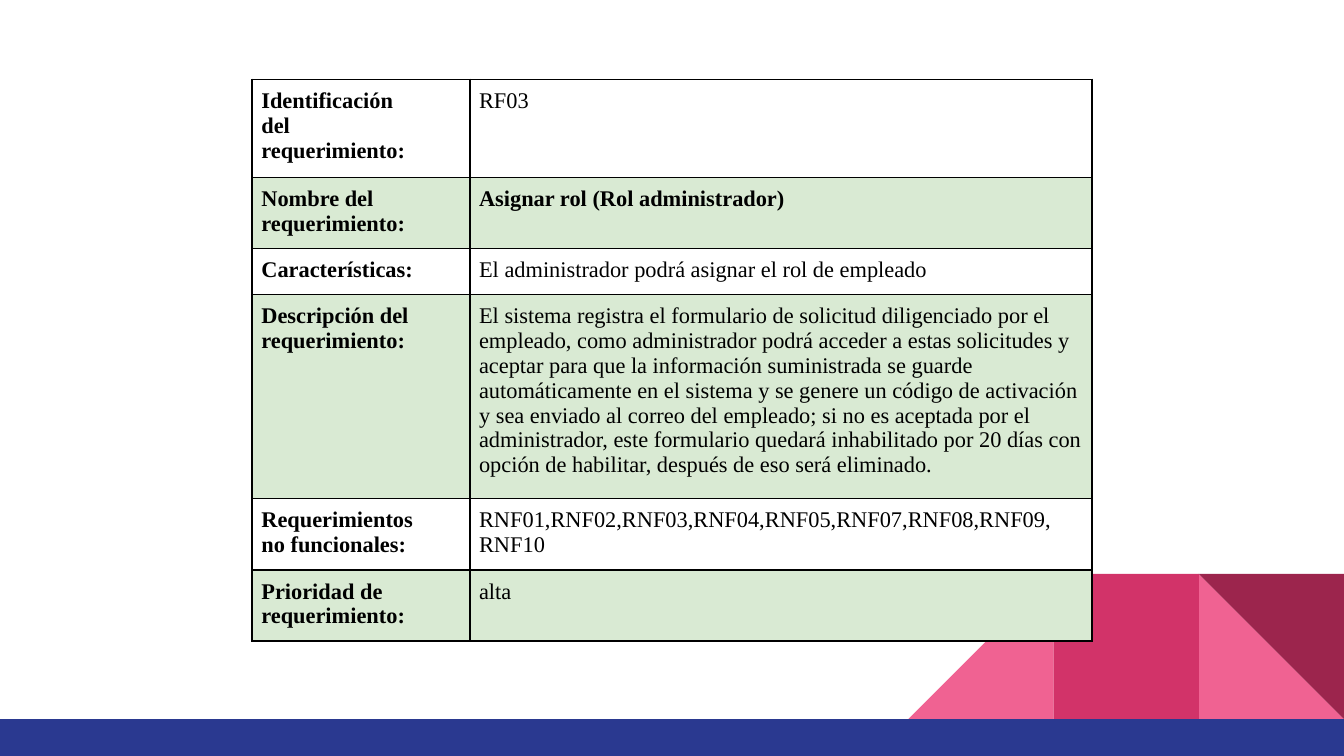
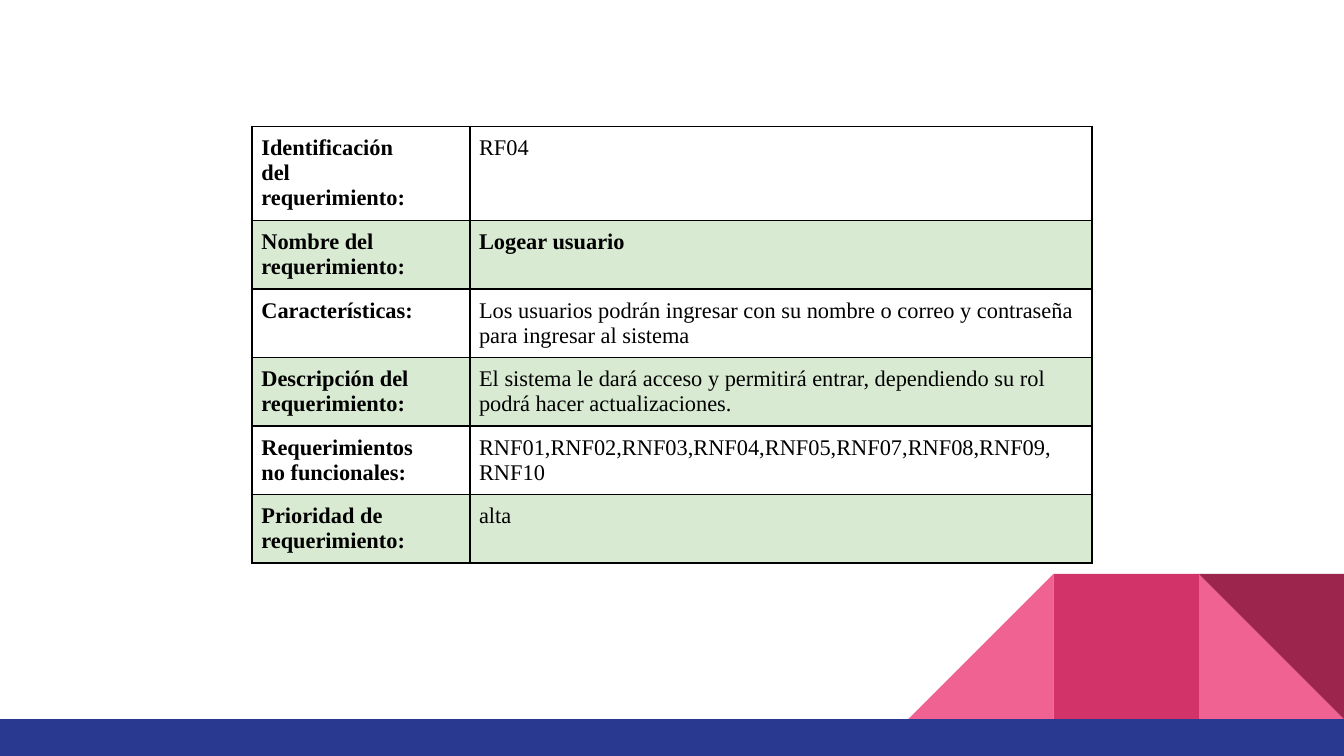
from lxml import etree
from pptx import Presentation
from pptx import util as u
from pptx.dml.color import RGBColor
from pptx.enum import shapes
from pptx.oxml import ns

BLACK = RGBColor(0x00, 0x00, 0x00)
GREEN = RGBColor(0xD9, 0xEA, 0xD3)
PINK = RGBColor(0xF0, 0x62, 0x92)
ROSE = RGBColor(0xD2, 0x33, 0x69)
WINE = RGBColor(0x9C, 0x25, 0x4D)
NAVY = RGBColor(0x2A, 0x39, 0x90)

FONT = "Times New Roman"
WIDTH = 10
HEIGHT = WIDTH * 9 / 16
TILE, BAND = 1.08, 5.35
COLS, INSET = (1.62, 4.63), 0.07
LEFT = (WIDTH - sum(COLS)) / 2

LABELS = (
    "Identificación\ndel\nrequerimiento:",
    "Nombre del\nrequerimiento:",
    "Características:",
    "Descripción del\nrequerimiento:",
    "Requerimientos\nno funcionales:",
    "Prioridad de\nrequerimiento:",
)
NEEDS = "RNF01,RNF02,RNF03,RNF04,RNF05,RNF07,RNF08,RNF09,\nRNF10"

ROLE = (
    "RF03",
    "Asignar rol (Rol administrador)",
    "El administrador podrá asignar el rol de empleado",
    "El sistema registra el formulario de solicitud diligenciado por el "
    "empleado, como administrador podrá acceder a estas solicitudes y aceptar "
    "para que la información suministrada se guarde automáticamente en el "
    "sistema y se genere un código de activación y sea enviado al correo del "
    "empleado; si no es aceptada por el administrador, este formulario quedará "
    "inhabilitado por 20 días con opción de habilitar, después de eso será "
    "eliminado.",
    NEEDS,
    "alta",
)
LOGIN = (
    "RF04",
    "Logear usuario",
    "Los usuarios podrán ingresar con su nombre o correo y contraseña para "
    "ingresar al sistema",
    "El sistema le dará acceso y permitirá entrar, dependiendo su rol podrá "
    "hacer actualizaciones.",
    NEEDS,
    "alta",
)


def add_block(group, kind, box, color):
    block = group.shapes.add_shape(kind, *map(u.Inches, box))
    block.shadow.inherit = False
    block.fill.solid()
    block.fill.fore_color.rgb = color
    block.line.fill.background()
    return block


def add_decor(slide):
    """Draw the corner tiles and bottom band, then move them to the layout."""
    group = slide.shapes.add_group_shape()
    kinds = shapes.MSO_SHAPE

    def add_tile(kind, place, color):
        """Place a tile, counted from the right edge."""
        box = (WIDTH - place * TILE, BAND - TILE, TILE, TILE)
        return add_block(group, kind, box, color)

    add_tile(kinds.RIGHT_TRIANGLE, 1, PINK)
    slope = add_tile(kinds.RIGHT_TRIANGLE, 3, PINK)
    slope.element.spPr.xfrm.set("flipH", "1")
    add_tile(kinds.RECTANGLE, 2, ROSE)
    add_tile(kinds.RIGHT_TRIANGLE, 1, WINE).rotation = 180
    add_block(group, kinds.RECTANGLE, (0, BAND, WIDTH, HEIGHT - BAND), NAVY)
    slide.slide_layout.element.cSld.spTree.insert(2, group.element)


def set_edges(cell):
    props = cell._tc.get_or_add_tcPr()
    for spot, side in enumerate("LRTB"):
        line = etree.Element(ns.qn(f"a:ln{side}"), w=str(u.Pt(1)))
        fill = etree.SubElement(line, ns.qn("a:solidFill"))
        etree.SubElement(fill, ns.qn("a:srgbClr"), val=str(BLACK))
        props.insert(spot, line)


def fill_cell(cell, words, bold, shaded):
    cell.margin_left = cell.margin_right = u.Inches(INSET)
    cell.margin_top = cell.margin_bottom = u.Inches(INSET)
    cell.text_frame.text = words
    for para in cell.text_frame.paragraphs:
        para.font.name = FONT
        para.font.size = u.Pt(12)
        para.font.bold = bold
        para.font.color.rgb = BLACK
    if shaded:
        cell.fill.solid()
        cell.fill.fore_color.rgb = GREEN
    else:
        cell.fill.background()
    set_edges(cell)


def add_sheet(slide, top, heights, values):
    """Add a requirement table; every second row is green."""
    frame = slide.shapes.add_table(
        len(LABELS), len(COLS), u.Inches(LEFT), u.Inches(top),
        u.Inches(sum(COLS)), u.Inches(sum(heights)))
    table = frame.table
    table.first_row = table.horz_banding = False
    for col, width in zip(table.columns, COLS):
        col.width = u.Inches(width)
    for row, height in zip(table.rows, heights):
        row.height = u.Inches(height)
    for num, pair in enumerate(zip(LABELS, values)):
        for col, words in enumerate(pair):
            bold = col == 0 or num == 1
            fill_cell(table.cell(num, col), words, bold, num % 2 == 1)


def main():
    deck = Presentation()
    deck.slide_width, deck.slide_height = u.Inches(WIDTH), u.Inches(HEIGHT)
    blank = deck.slide_layouts[6]
    first, second = (deck.slides.add_slide(blank) for _ in range(2))
    add_decor(first)
    add_sheet(first, 0.59, (0.73, 0.53, 0.34, 1.52, 0.53, 0.53), ROLE)
    add_sheet(second, 0.94, (0.7,) + (0.51,) * 5, LOGIN)
    deck.save("out.pptx")


if __name__ == "__main__":
    main()
